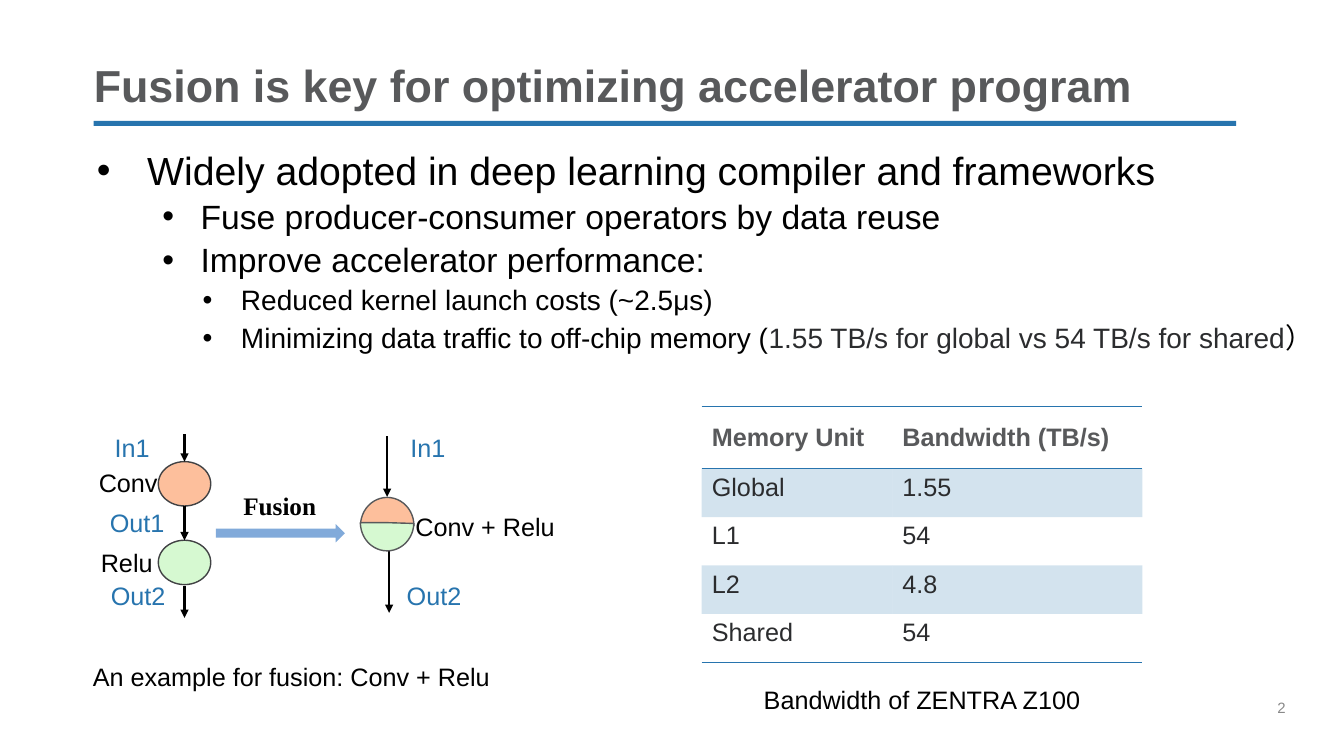
from dataclasses import dataclass

from lxml import etree
from pptx import Presentation
from pptx.dml.color import RGBColor
from pptx.enum.shapes import MSO_CONNECTOR, MSO_SHAPE
from pptx.enum.text import MSO_ANCHOR, MSO_AUTO_SIZE, PP_ALIGN
from pptx.oxml.ns import qn
from pptx.util import Inches, Pt

LEFT, CENTER = PP_ALIGN.LEFT, PP_ALIGN.CENTER
TOP, MIDDLE, BOTTOM = MSO_ANCHOR.TOP, MSO_ANCHOR.MIDDLE, MSO_ANCHOR.BOTTOM
FIXED = MSO_AUTO_SIZE.NONE
STRAIGHT = MSO_CONNECTOR.STRAIGHT
RECT, OVAL = MSO_SHAPE.RECTANGLE, MSO_SHAPE.OVAL
PIE, ARROW = MSO_SHAPE.PIE, MSO_SHAPE.RIGHT_ARROW
PLAIN = "{2D5ABB26-0587-4C30-8999-92F81FD0307C}"


@dataclass(frozen=True)
class Theme:
    """Colours, fonts and type sizes of the slide."""
    sans: str = "Arial"
    serif: str = "Times New Roman"
    blue: str = "2774AE"
    gray: str = "58595B"
    dark: str = "2B2C2E"
    black: str = "000000"
    pale: str = "898989"
    peach: str = "FDBF9C"
    mint: str = "D6F9D1"
    sky: str = "81AADA"
    edge: str = "414244"
    head: float = 32
    levels: tuple = (28, 24, 20)
    label: float = 18
    num: float = 10.7


T = Theme()


def rgb(code):
    """Turn a hex code into a colour."""
    return RGBColor.from_string(code)


def put(item, vals):
    """Set attributes from a dict of values."""
    for key, val in vals.items():
        setattr(item, key, val)


def place(item, x, y, w, h):
    """Move an item to a box in inches."""
    put(item, {"left": Inches(x), "top": Inches(y),
               "width": Inches(w), "height": Inches(h)})


def style(font, size, color, bold=False, name=T.sans):
    """Format a font."""
    put(font, {"name": name, "size": Pt(size), "bold": bold})
    font.color.rgb = rgb(color)


def frame(item, anchor=TOP, pad=(0, 0)):
    """Set insets, wrap and anchor of a text frame."""
    text = item.text_frame
    side, end = (Inches(gap) for gap in pad)
    put(text, {"auto_size": FIXED, "word_wrap": True, "vertical_anchor": anchor,
               "margin_left": side, "margin_right": side,
               "margin_top": end, "margin_bottom": end})
    return text


def label(slide, words, box, color=T.black, align=LEFT, pad=(0, 0), **look):
    """Add one line of text."""
    text = frame(slide.shapes.add_textbox(*map(Inches, box)), pad=pad)
    para = text.paragraphs[0]
    para.alignment = align
    run = para.add_run()
    run.text = words
    style(run.font, T.label, color, **look)


def shape(slide, kind, box, fill, edge=None):
    """Add a filled shape."""
    item = slide.shapes.add_shape(kind, *map(Inches, box))
    item.shadow.inherit = False
    item.fill.solid()
    item.fill.fore_color.rgb = rgb(fill)
    if edge:
        item.line.color.rgb = rgb(edge)
        item.line.width = Pt(1)
    else:
        item.line.fill.background()
    return item


def arrow(slide, x, y, end, goal=None):
    """Add a downward arrow, joined to the top of a goal if given."""
    item = slide.shapes.add_connector(STRAIGHT, *map(Inches, (x, y, x, end)))
    if goal is not None:
        item.end_connect(goal, 0)
    item.line.color.rgb = rgb(T.black)
    item.line.width = Pt(1.5)
    props = item._element.spPr
    etree.SubElement(props.find(qn("a:ln")), qn("a:tailEnd"), type="triangle")
    etree.SubElement(props, qn("a:effectLst"))


def header(slide, x, y, w, h):
    """Fill the title and draw its rule."""
    shape(slide, RECT, (x, y + h + 0.09, w, 0.05), T.blue)
    title = slide.shapes.title
    place(title, x, y, w, h)
    para = frame(title, BOTTOM).paragraphs[0]
    put(para, {"text": "Fusion is key for optimizing accelerator program",
               "alignment": LEFT, "line_spacing": 0.9})
    style(para.runs[0].font, T.head, T.gray, True)


def points(slide, x, y, w, h):
    """Fill the body with bullets on three levels."""
    body = slide.placeholders[1]
    place(body, x, y, w, h)
    text = frame(body)
    rows = [(0, ["Widely adopted in deep learning compiler and frameworks"]),
            (1, ["Fuse producer-consumer operators by data reuse"]),
            (1, ["Improve accelerator performance:"]),
            (2, ["Reduced kernel launch costs (~2.5μs)"]),
            (2, ["Minimizing data traffic to off-chip memory (",
                 "1.55 TB/s for global vs 54 TB/s for shared", "）"])]
    dents = ((0.5, -0.5), (1.03, -0.38), (1.43, -0.38))
    for i, (level, bits) in enumerate(rows):
        para = text.add_paragraph() if i else text.paragraphs[0]
        put(para, {"level": level, "space_before": Pt(5 if i else 0),
                   "line_spacing": 0.9 if level else 1.0})
        props = para._p.get_or_add_pPr()
        for key, val in zip(("marL", "indent"), dents[level]):
            props.set(key, str(Inches(val)))
        etree.SubElement(props, qn("a:buFont"), typeface=T.sans)
        etree.SubElement(props, qn("a:buChar"), char="•")
        for j, bit in enumerate(bits):
            run = para.add_run()
            run.text = bit
            style(run.font, T.levels[level], T.dark if j == 1 else T.black)


def graph(slide, x, y):
    """Draw the operator chain and its fused form."""
    conv = shape(slide, OVAL, (x + 0.65, y + 0.34, 0.52, 0.44), T.peach, T.edge)
    relu = shape(slide, OVAL, (x + 0.65, y + 1.12, 0.52, 0.44), T.mint, T.edge)
    arrow(slide, x + 0.91, y + 0.07, y + 0.34, conv)
    arrow(slide, x + 0.91, y + 0.78, y + 1.12, relu)
    arrow(slide, x + 0.91, y + 1.57, y + 1.89)
    arrow(slide, x + 2.92, y + 0.09, y + 0.69)
    arrow(slide, x + 2.94, y + 1.18, y + 1.84)
    for drop, turn, fill in ((0.71, 90, T.peach), (0.68, 270, T.mint)):
        half = shape(slide, PIE, (x + 2.64, y + drop, 0.56, 0.53), fill, T.gray)
        half.rotation = turn
        half.adjustments[0], half.adjustments[1] = 55.012, 162
    shape(slide, ARROW, (x + 1.22, y + 0.96, 1.28, 0.18), T.sky)
    for words, dx, dy, w in (("In1", 0.08, 0, 0.62), ("Out1", 0.06, 0.74, 0.76),
                             ("Out2", 0.07, 1.47, 0.76), ("In1", 3.02, 0, 0.61),
                             ("Out2", 2.84, 1.47, 1.09)):
        label(slide, words, (x + dx, y + dy, w, 0.4), T.blue, CENTER, (0.1, 0.05))
    for words, dx, dy, w in (("Conv", 0.06, 0.4, 0.74), ("Relu", 0.08, 1.19, 0.62),
                             ("Conv + Relu", 3.2, 0.83, 1.41),
                             ("An example for fusion: Conv + Relu", 0, 2.32, 4.01)):
        label(slide, words, (x + dx, y + dy, w, 0.3))
    label(slide, "Fusion", (x + 1.24, y + 0.58, 1.23, 0.4), align=CENTER,
          pad=(0.1, 0.05), bold=True, name=T.serif)


def border(cell, side):
    """Draw a blue line on one side of a cell."""
    line = etree.SubElement(cell._tc.get_or_add_tcPr(), qn("a:" + side), w=str(Pt(1)))
    fill = etree.SubElement(line, qn("a:solidFill"))
    etree.SubElement(fill, qn("a:srgbClr"), val=T.blue)


def memory(slide, x, y):
    """Add the bandwidth table and its caption."""
    rows = (("Memory Unit", "Bandwidth (TB/s)"), ("Global", "1.55"),
            ("L1", "54"), ("L2", "4.8"), ("Shared", "54"))
    box = map(Inches, (x, y, 4.37, 2.54))
    table = slide.shapes.add_table(len(rows), 2, *box).table
    put(table, {"first_row": False, "horz_banding": False})
    table._tbl.tblPr.find(qn("a:tableStyleId")).text = PLAIN
    for col, wide in zip(table.columns, (1.89, 2.48)):
        col.width = Inches(wide)
    for i, row in enumerate(rows):
        table.rows[i].height = Inches(0.48 if i else 0.62)
        for j, words in enumerate(row):
            cell = table.cell(i, j)
            put(cell, {"text": words, "vertical_anchor": TOP if i else MIDDLE})
            run = cell.text_frame.paragraphs[0].runs[0]
            style(run.font, T.label, T.dark if i else T.gray, not i)
            if i == 0:
                border(cell, "lnT")
            if i in (0, len(rows) - 1):
                border(cell, "lnB")
            if i % 2:
                cell.fill.solid()
                cell.fill.fore_color.rgb = rgb(T.blue)
                tint = cell._tc.tcPr.find(".//" + qn("a:srgbClr"))
                etree.SubElement(tint, qn("a:alpha"), val="20000")
            else:
                cell.fill.background()
    label(slide, "Bandwidth of ZENTRA Z100", (x + 0.18, y + 2.76, 4.01, 0.3), align=CENTER)


def number(slide, x, y, w, h):
    """Add the slide number field."""
    para = frame(slide.shapes.add_textbox(*map(Inches, (x, y, w, h)))).paragraphs[0]
    field = etree.SubElement(para._p, qn("a:fld"), type="slidenum",
                             id="{B6F15528-21DE-4FAA-801E-634DDDAF4B2B}")
    look = etree.SubElement(field, qn("a:rPr"), sz=str(int(T.num * 100)))
    fill = etree.SubElement(look, qn("a:solidFill"))
    etree.SubElement(fill, qn("a:srgbClr"), val=T.pale)
    etree.SubElement(look, qn("a:latin"), typeface=T.sans)
    etree.SubElement(field, qn("a:t")).text = "2"


def main():
    """Build the slide and save it."""
    deck = Presentation()
    put(deck, {"slide_width": Inches(13.33), "slide_height": Inches(7.5)})
    deck._element.set("firstSlideNum", "2")
    slide = deck.slides.add_slide(deck.slide_layouts[1])
    header(slide, 0.93, 0.54, 11.33, 0.57)
    points(slide, 0.96, 1.45, 12.27, 2.08)
    graph(slide, 0.92, 4.24)
    memory(slide, 6.96, 4.03)
    number(slide, 12.67, 6.93, 0.67, 0.46)
    deck.save("out.pptx")


if __name__ == "__main__":
    main()
